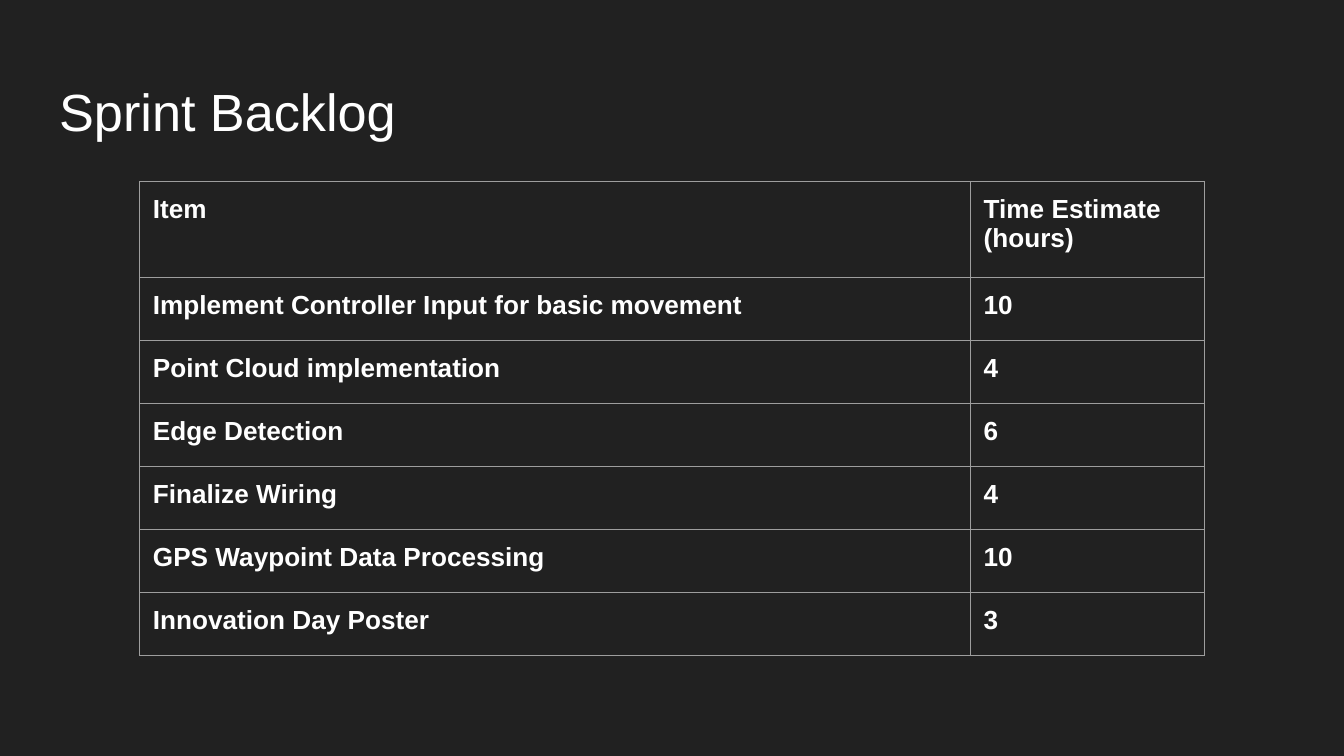
from dataclasses import dataclass

from lxml import etree
from pptx import Presentation
from pptx.dml.color import RGBColor
from pptx.enum.text import MSO_ANCHOR
from pptx.oxml.ns import qn
from pptx.util import Cm, Pt

TOP = MSO_ANCHOR.TOP


@dataclass(frozen=True)
class Theme:
    background: str = "212121"
    text: str = "FFFFFF"
    border: str = "9E9E9E"
    font: str = "Arial"
    title_size: int = 28
    table_size: int = 14
    border_width: float = 0.75


theme = Theme()


def write_text(text_frame, text, *, size, bold=False):
    text_frame.word_wrap = True
    text_frame.vertical_anchor = TOP
    text_frame.margin_left = text_frame.margin_right = Cm(0.25)
    text_frame.margin_top = text_frame.margin_bottom = Cm(0.25)
    run = text_frame.paragraphs[0].add_run()
    run.text = text
    run.font.name = theme.font
    run.font.size = Pt(size)
    run.font.bold = bold
    run.font.color.rgb = RGBColor.from_string(theme.text)


def add_borders(cell):
    properties = cell._tc.get_or_add_tcPr()
    for side in ("lnL", "lnR", "lnT", "lnB"):
        line = etree.SubElement(properties, qn(f"a:{side}"), w=str(Pt(theme.border_width)))
        fill = etree.SubElement(line, qn("a:solidFill"))
        etree.SubElement(fill, qn("a:srgbClr"), val=theme.border)


presentation = Presentation()
presentation.slide_width = Cm(25.4)
presentation.slide_height = Cm(14.29)
slide = presentation.slides.add_slide(presentation.slide_layouts[6])
slide.background.fill.solid()
slide.background.fill.fore_color.rgb = RGBColor.from_string(theme.background)

title = slide.shapes.add_textbox(Cm(0.87), Cm(1.24), Cm(23.67), Cm(1.6))
write_text(title.text_frame, "Sprint Backlog", size=theme.title_size)

backlog = [
    ("Item", "Time Estimate (hours)"),
    ("Implement Controller Input for basic movement", "10"),
    ("Point Cloud implementation", "4"),
    ("Edge Detection", "6"),
    ("Finalize Wiring", "4"),
    ("GPS Waypoint Data Processing", "10"),
    ("Innovation Day Poster", "3"),
]
column_widths = [Cm(15.7), Cm(4.42)]
row_heights = [Cm(1.82)] + [Cm(1.19)] * (len(backlog) - 1)

table = slide.shapes.add_table(
    len(backlog), len(column_widths), Cm(2.64), Cm(3.43), sum(column_widths), sum(row_heights)
).table
table.first_row = False
table.horz_banding = False
for column, width in zip(table.columns, column_widths):
    column.width = width

for row, height, entries in zip(table.rows, row_heights, backlog):
    row.height = height
    for cell, entry in zip(row.cells, entries):
        write_text(cell.text_frame, entry, size=theme.table_size, bold=True)
        cell.margin_left = cell.margin_right = Cm(0.25)
        cell.margin_top = cell.margin_bottom = Cm(0.25)
        cell.vertical_anchor = TOP
        add_borders(cell)
        cell.fill.background()

presentation.save("out.pptx")
